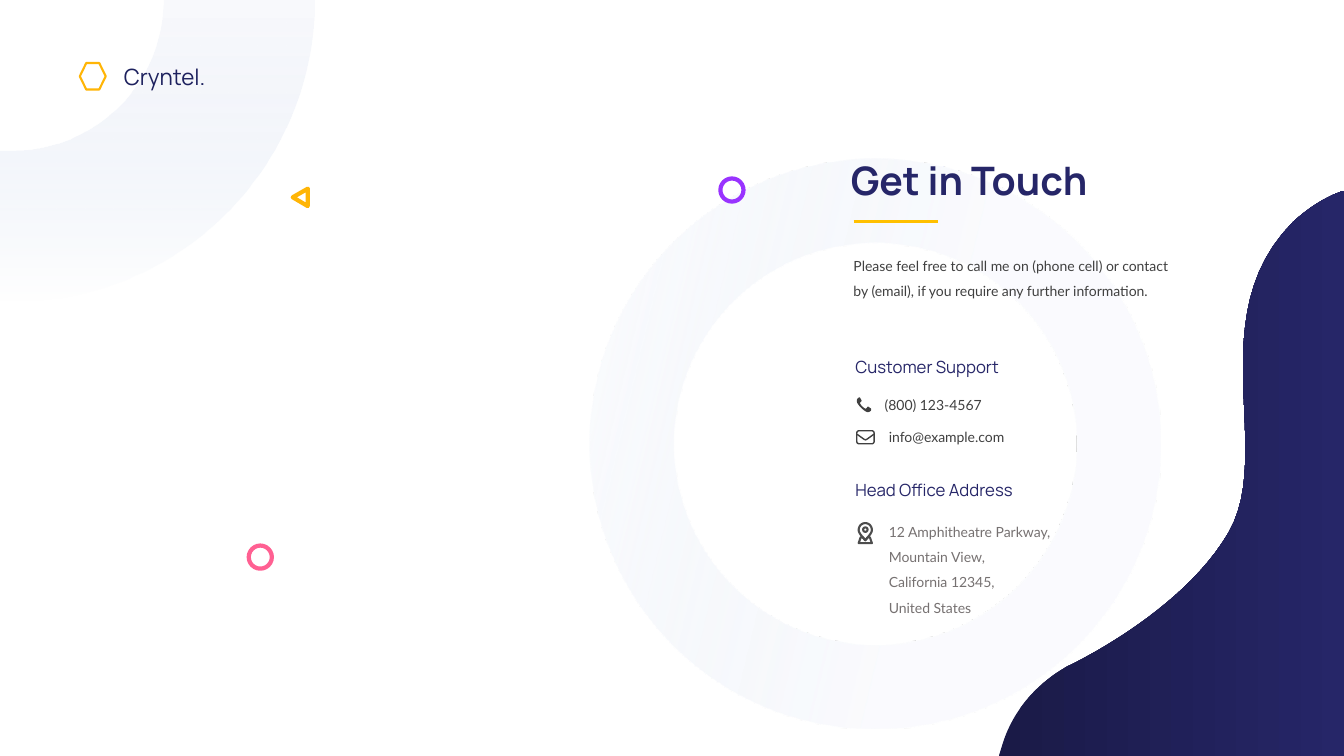
from math import cos, radians, sin

from lxml.etree import SubElement
from pptx import Presentation
from pptx.dml.color import RGBColor
from pptx.enum.shapes import MSO_CONNECTOR as CONN, MSO_SHAPE as SHAPE
from pptx.enum.text import MSO_ANCHOR as ANCHOR, MSO_AUTO_SIZE as AUTO, PP_ALIGN as ALIGN
from pptx.oxml.ns import qn
from pptx.util import Pt

COLORS = {
    "navy": "262668", "deep": "1A1A47", "name": "1D215E", "amber": "FFB506",
    "gold": "FFC000", "purple": "9933FF", "pink": "FF6092", "dark": "404040",
    "gray": "767171", "pin": "4D4D4D", "mist": "F9FAFD", "haze": "DAE3F3",
}


def rgb(name):
    return RGBColor.from_string(COLORS[name])


def arc(cx, cy, radius, start, end, steps=60):
    angles = [radians(start + (end - start) * i / steps) for i in range(steps + 1)]
    return [(cx + radius * cos(a), cy + radius * sin(a)) for a in angles]


def flatten(path, steps=24):
    """Turn a path of points and six-number cubic curves into plain points."""
    points = []
    for part in path:
        if len(part) == 2:
            points.append(part)
            continue
        (x0, y0), (x1, y1, x2, y2, x3, y3) = points[-1], part
        for i in range(1, steps + 1):
            t = i / steps
            a, b, c, d = (1 - t) ** 3, 3 * t * (1 - t) ** 2, 3 * t * t * (1 - t), t ** 3
            points.append((a * x0 + b * x1 + c * x2 + d * x3,
                           a * y0 + b * y1 + c * y2 + d * y3))
    return points


def write(tf, text, size=10, font="Lato", color="dark", bold=False, spacing=None):
    """Fill a text frame, one paragraph for each line of text."""
    tf.word_wrap = True
    tf.auto_size = AUTO.SHAPE_TO_FIT_TEXT
    tf.vertical_anchor = ANCHOR.TOP
    for i, line in enumerate(text.split("\n")):
        p = tf.add_paragraph() if i else tf.paragraphs[0]
        p.alignment = ALIGN.LEFT
        if spacing:
            p.line_spacing = spacing
        r = p.add_run()
        r.text = line
        r.font.name, r.font.size, r.font.bold = font, Pt(size), bold
        r.font.color.rgb = rgb(color)


class Page:
    def __init__(self, prs):
        self.slide = prs.slides.add_slide(prs.slide_layouts[5])
        self.shapes = self.slide.shapes

    def paint(self, sp, fill=None, line=None, width=1):
        sp.shadow.inherit = False
        if fill:
            sp.fill.solid()
            sp.fill.fore_color.rgb = rgb(fill)
        else:
            sp.fill.background()
        if line:
            sp.line.color.rgb = rgb(line)
            sp.line.width = Pt(width)
        else:
            sp.line.fill.background()
        return sp

    def gradient(self, sp, stops, angle):
        """Apply a linear gradient of (position, colour, opacity) in percent."""
        old = sp._element.spPr.find(qn("a:noFill"))
        grad = old.makeelement(qn("a:gradFill"), {"rotWithShape": "1"})
        old.getparent().replace(old, grad)
        gs_list = SubElement(grad, qn("a:gsLst"))
        for pos, color, opacity in stops:
            gs = SubElement(gs_list, qn("a:gs"), pos=str(pos * 1000))
            clr = SubElement(gs, qn("a:srgbClr"), val=COLORS[color])
            SubElement(clr, qn("a:alpha"), val=str(opacity * 1000))
        SubElement(grad, qn("a:lin"), ang=str(angle * 60000), scaled="0")

    def shape(self, kind, x, y, w, h, rotation=0, **style):
        sp = self.shapes.add_shape(kind, Pt(x), Pt(y), Pt(w), Pt(h))
        sp.rotation = rotation
        return self.paint(sp, **style)

    def outline(self, path, close=True, **style):
        points = [(Pt(x), Pt(y)) for x, y in flatten(path)]
        builder = self.shapes.build_freeform(*points[0])
        builder.add_line_segments(points[1:], close=close)
        return self.paint(builder.convert_to_shape(), **style)

    def line(self, x1, y1, x2, y2, color, width):
        cx = self.shapes.add_connector(CONN.STRAIGHT, Pt(x1), Pt(y1), Pt(x2), Pt(y2))
        cx.line.color.rgb = rgb(color)
        cx.line.width = Pt(width)
        SubElement(cx._element.spPr, qn("a:effectLst"))

    def text(self, text, x, y, w, h, **style):
        box = self.shapes.add_textbox(Pt(x), Pt(y), Pt(w), Pt(h))
        write(box.text_frame, text, **style)

    def title(self, text, x, y, w, h, **style):
        sp = self.shapes.title
        sp.left, sp.top, sp.width, sp.height = Pt(x), Pt(y), Pt(w), Pt(h)
        write(sp.text_frame, text, **style)
        self.shapes._spTree.append(sp._element)  # bring in front of the ring


def draw_background(page):
    ring = page.shape(SHAPE.DONUT, 421.2, 113, 407.5, 407.5, rotation=103.3)
    ring.adjustments[0] = 0.148
    page.gradient(ring, [(41, "mist", 72), (100, "haze", 0)], 90)

    corner = page.outline(arc(9.4, 0, 215.5, 0, 90) + [(0, 215.5), (0, 107.7)]
                          + arc(9.4, 0, 107.7, 90, 0))
    page.gradient(corner, [(0, "mist", 100), (100, "haze", 0)], 90)

    wave = page.outline([
        (960, 136.1), (960, 540), (713.5, 540), (716.4, 530.6),
        (723.6, 508.3, 739.4, 488.9, 762.5, 475.9),
        (762.5, 475.9, 843.8, 438.5, 877.7, 380.2),
        (910.8, 322.6, 856.8, 225.4, 923.8, 158.4),
        (932.4, 150.5, 941.8, 144, 952.6, 139)])
    page.gradient(wave, [(0, "deep", 100), (100, "navy", 100)], 0)

    for x, y, color in [(514.6, 127.5, "purple"), (177.7, 389.7, "pink")]:
        page.shape(SHAPE.OVAL, x, y, 16.5, 16.5, line=color, width=3)
    page.shape(SHAPE.ISOSCELES_TRIANGLE, 211, 134, 12.4, 10.8, rotation=30.4,
               line="amber", width=3)


def draw_icons(page):
    page.outline([
        (622.3, 293), (621.9, 293.9, 620.6, 294.4, 619.9, 294.5),
        (618, 294.5, 612, 289, 612, 286.6), (612, 285.2, 612.8, 283.9, 614.2, 283.9),
        (615.4, 286), (615.8, 286.8, 614.3, 287.3, 614.3, 288),
        (614.6, 289.2, 617.2, 291.9, 618.4, 291.9),
        (619.2, 291.9, 619.4, 290.4, 620.2, 290.5), (622.3, 292)], fill="dark")

    page.shape(SHAPE.ROUNDED_RECTANGLE, 612, 307.7, 12.4, 9.3, line="dark")
    page.outline([(612.2, 310.2), (617.2, 313.8), (618.2, 314.2), (619.2, 313.8),
                  (624.2, 310.2)], close=False, line="dark")

    pin = {"line": "pin", "width": 1.5}
    page.outline([
        (622.8, 378.7), (622.8, 380.2, 621.4, 382.1, 619.9, 383.8), (618.1, 385.9),
        (616.3, 383.8), (614.8, 382.1, 613.4, 380.2, 613.4, 378.7),
        (613.4, 375.8, 615.5, 373.7, 618.1, 373.7),
        (620.7, 373.7, 622.8, 375.8, 622.8, 378.7)], **pin)
    page.shape(SHAPE.OVAL, 616.5, 376.7, 3.2, 3.2, **pin)
    page.outline([(622.8, 388), (613.4, 388), (614.8, 383.8), (616.3, 383.8),
                  (618.1, 385.9), (619.9, 383.8), (621.4, 383.8)], **pin)


def main():
    prs = Presentation()
    prs.slide_width, prs.slide_height = Pt(960), Pt(540)
    page = Page(prs)
    draw_background(page)

    page.shape(SHAPE.HEXAGON, 57, 45, 18.5, 19, line="amber", width=1.5)
    page.text("Cryntel.", 81.4, 41.8, 92.9, 26.6, size=16, font="Manrope", color="name")

    page.title("Get in Touch", 600.5, 108, 245.5, 41, size=28, font="Manrope",
               color="navy", bold=True)
    page.line(609.8, 158.4, 670.3, 158.4, "gold", 2.25)
    page.text("Please feel free to call me on (phone cell) or contact by (email), "
              "if you require any further information.", 602.6, 174.2, 244, 59.8, spacing=1.5)

    for heading, y in [("Customer Support", 251.3), ("Head Office Address", 339.1)]:
        page.text(heading, 604, y, 149, 21.6, size=12, font="Manrope", color="navy")
    page.text("(800) 123-4567", 624.8, 279.4, 103.7, 19.4)
    page.text("info@example.com", 627.8, 302.4, 103.7, 19.4)
    page.text("12 Amphitheatre Parkway,\nMountain View,\nCalifornia 12345,\nUnited States",
              627.8, 364.3, 154.8, 77.8, color="gray", spacing=1.5)
    draw_icons(page)
    prs.save("out.pptx")


if __name__ == "__main__":
    main()
